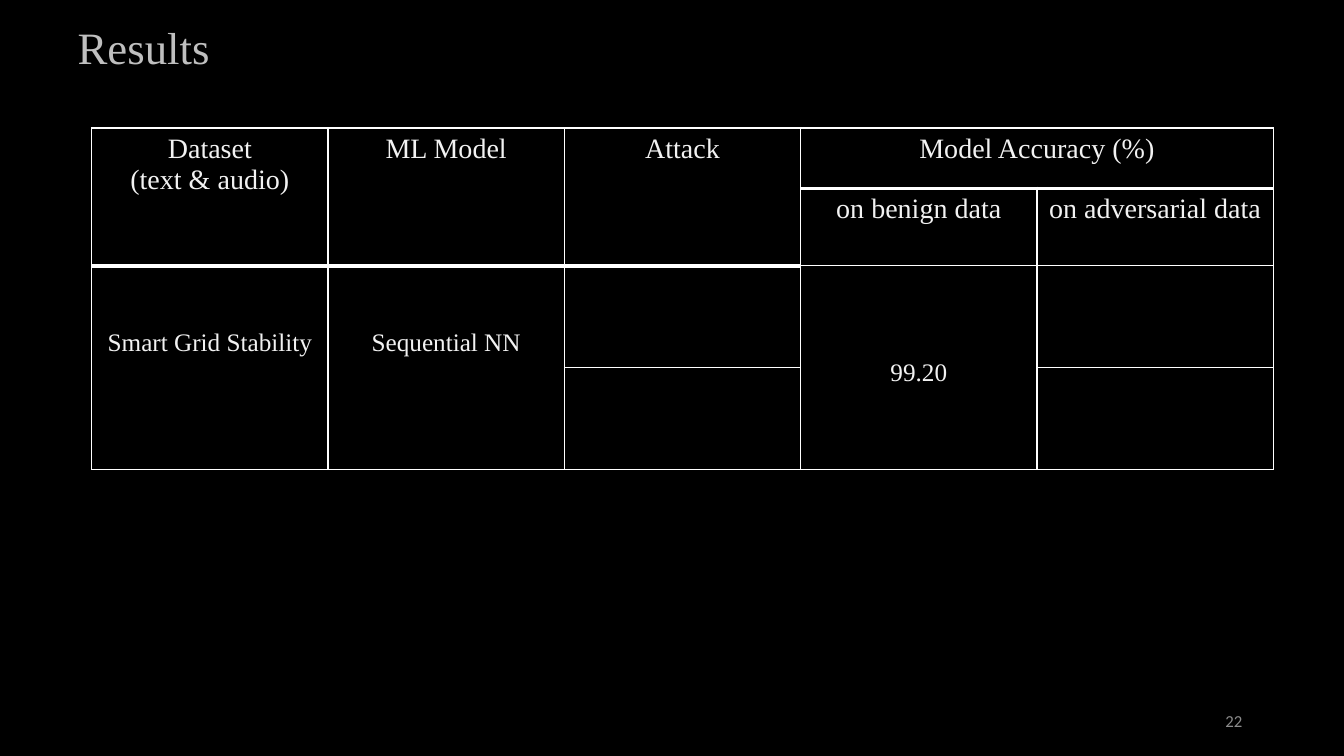
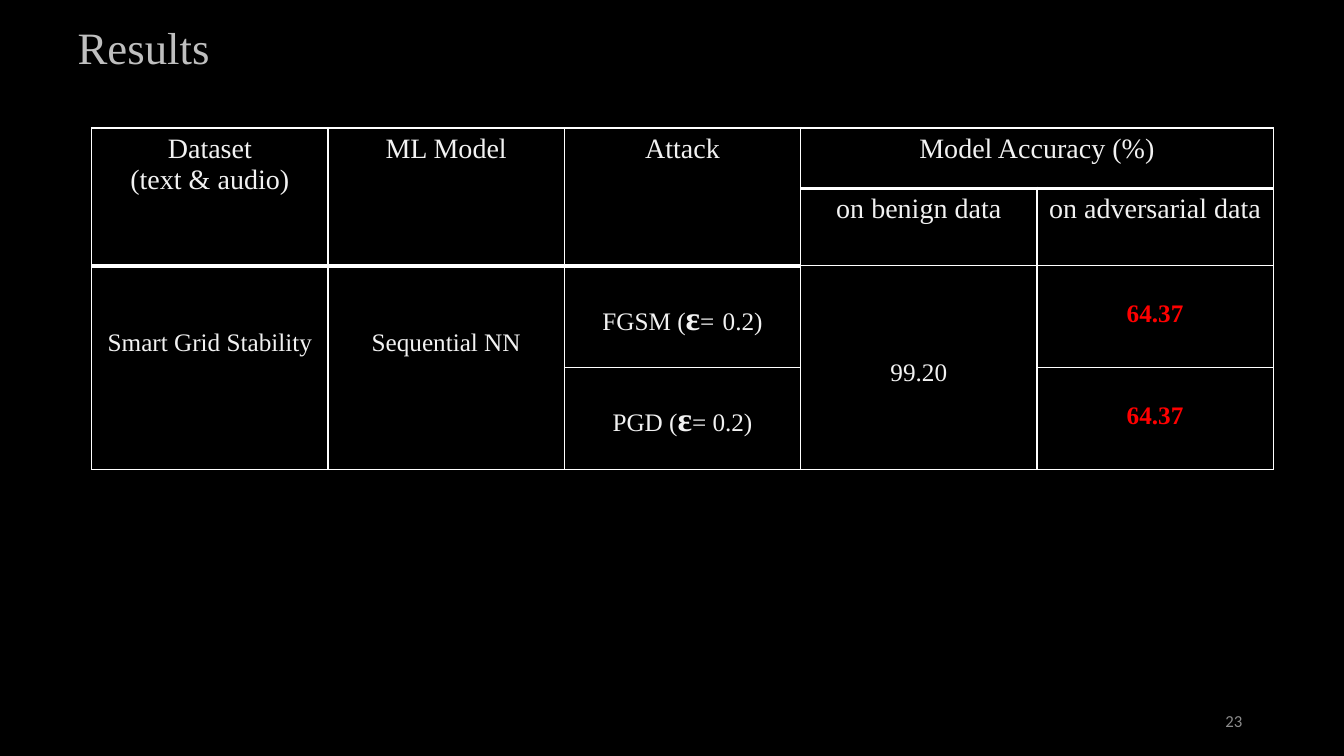
from lxml.etree import SubElement
from pptx import Presentation
from pptx.dml.color import RGBColor
from pptx.enum.text import MSO_ANCHOR, MSO_AUTO_SIZE, PP_ALIGN
from pptx.oxml.ns import qn
from pptx.util import Inches, Pt

BLACK = RGBColor(0x00, 0x00, 0x00)
WHITE = RGBColor(0xFF, 0xFF, 0xFF)
PALE = RGBColor(0xF2, 0xF2, 0xF2)
SILVER = RGBColor(0xBF, 0xBF, 0xBF)
GRAY = RGBColor(0x8C, 0x8C, 0x8C)
RED = RGBColor(0xFF, 0x00, 0x00)
SERIF = "Times New Roman"
SANS = "Calibri"

ROWS = [0.6, 0.71, 1.01, 1.01]
COLS = 5
MERGES = [(0, 0, 1, 0), (0, 1, 1, 1), (0, 2, 1, 2), (0, 3, 0, 4),
          (2, 0, 3, 0), (2, 1, 3, 1), (2, 3, 3, 3)]
THICK = {(1, 3), (1, 4), (2, 0), (2, 1), (2, 2)}
HEADS = {
    (0, 0): ["Dataset", "(text & audio)"],
    (0, 1): ["ML Model"],
    (0, 2): ["Attack"],
    (0, 3): ["Model Accuracy (%)"],
    (1, 3): ["on benign data"],
    (1, 4): ["on adversarial data"],
}
FACTS = {
    (2, 0): ("Smart Grid Stability", 2),
    (2, 1): ("Sequential NN", 2),
    (2, 3): ("99.20", 3),
}
LARGE = {"size": 24}
EPSILON = ("ɛ", {"size": 24, "bold": True})
ATTACKS = {
    (2, 2): ["FGSM (", EPSILON, "=", (" ", LARGE), "0.2)"],
    (3, 2): ["PGD (", EPSILON, "= 0.2)"],
}
SCORES = {(2, 4): "64.37", (3, 4): "64.37"}


def write(frame, lines, align=PP_ALIGN.CENTER, space=None, **base):
    for i, line in enumerate(lines):
        para = frame.add_paragraph() if i else frame.paragraphs[0]
        para.alignment = align
        para.line_spacing = space
        for piece in [line] if isinstance(line, str) else line:
            text, extra = (piece, {}) if isinstance(piece, str) else piece
            style = {"size": 18, "name": SERIF, "color": PALE, "bold": False, **base, **extra}
            run = para.add_run()
            run.text = text
            run.font.size = Pt(style["size"])
            run.font.name = style["name"]
            run.font.bold = style["bold"]
            run.font.color.rgb = style["color"]


class Deck:
    def __init__(self):
        self.show = Presentation()
        self.show.slide_width = Inches(13.33)
        self.show.slide_height = Inches(7.5)
        fill = self.show.slide_master.background.fill
        fill.solid()
        fill.fore_color.rgb = BLACK
        self.slide = None

    def page(self, title, number):
        self.slide = self.show.slides.add_slide(self.show.slide_layouts[5])
        self.title(title)
        self.number(number)

    def title(self, text):
        head = self.slide.shapes.title
        head.left, head.top, head.width, head.height = map(Inches, (0.67, 0.31, 11, 0.48))
        frame = head.text_frame
        frame.auto_size = MSO_AUTO_SIZE.NONE
        frame.vertical_anchor = MSO_ANCHOR.BOTTOM
        write(frame, [text], align=PP_ALIGN.LEFT, space=0.9, size=32, color=SILVER)

    def number(self, value):
        box = self.slide.shapes.add_textbox(*map(Inches, (9.42, 6.95, 3, 0.4)))
        frame = box.text_frame
        frame.word_wrap = True
        frame.vertical_anchor = MSO_ANCHOR.MIDDLE
        write(frame, [str(value)], align=PP_ALIGN.RIGHT, size=12, name=SANS, color=GRAY)

    def border(self, cell, side, width):
        line = SubElement(cell._tc.get_or_add_tcPr(), qn(f"a:ln{side}"), w=str(Pt(width)))
        SubElement(SubElement(line, qn("a:solidFill")), qn("a:srgbClr"), val=str(WHITE))

    def grid(self):
        size = map(Inches, (0.91, 1.27, 11.72, sum(ROWS)))
        table = self.slide.shapes.add_table(len(ROWS), COLS, *size).table
        table.first_row = table.horz_banding = False
        for row, height in zip(table.rows, ROWS):
            row.height = Inches(height)
        for top, left, low, right in MERGES:
            table.cell(top, left).merge(table.cell(low, right))
        for r in range(len(ROWS)):
            for c in range(COLS):
                cell = table.cell(r, c)
                below = r + cell.span_height
                for side in "LRTB":
                    edge = {"T": (r, c), "B": (below, c)}.get(side)
                    self.border(cell, side, 3 if edge in THICK else 1)
                cell.fill.solid()
                cell.fill.fore_color.rgb = BLACK
        return table

    def entry(self, table, spot, lines, drop=0, **style):
        cell = table.cell(*spot)
        cell.margin_top = Inches(0.05 + 0.29 * drop)
        write(cell.text_frame, lines, **style)

    def results(self, number, scored):
        self.page("Results", number)
        table = self.grid()
        for spot, lines in HEADS.items():
            self.entry(table, spot, lines, size=20)
        for spot, (text, drop) in FACTS.items():
            self.entry(table, spot, [text], drop)
        if scored:
            for spot, runs in ATTACKS.items():
                self.entry(table, spot, [runs], 1)
            for spot, text in SCORES.items():
                self.entry(table, spot, [text], 1, color=RED, bold=True)


def main():
    deck = Deck()
    deck.results(22, scored=False)
    deck.results(23, scored=True)
    deck.show.save("out.pptx")


if __name__ == "__main__":
    main()
